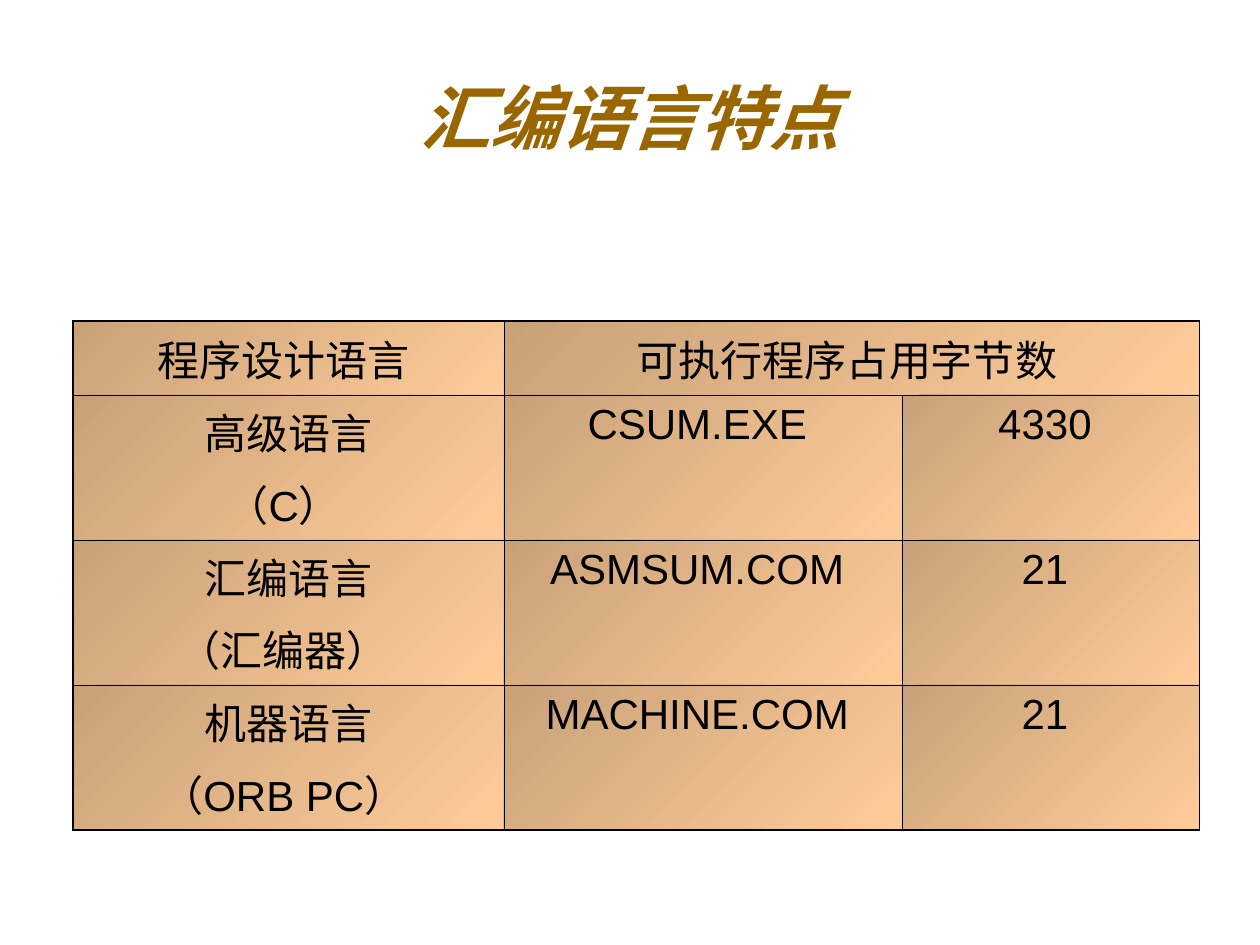
from dataclasses import dataclass

from lxml.etree import SubElement
from pptx import Presentation
from pptx.dml.color import RGBColor
from pptx.enum.text import MSO_ANCHOR, PP_ALIGN
from pptx.oxml.ns import qn
from pptx.slide import Slide
from pptx.table import Table, _Cell
from pptx.text.text import TextFrame
from pptx.util import Inches, Pt


@dataclass(frozen=True)
class Theme:
    font: str = "Arial"
    title_size: int = 40
    cell_size: int = 24
    title_color: str = "996600"
    ink: str = "000000"
    fill_start: str = "C9A179"
    fill_end: str = "FFCC99"
    outer_line: float = 1.08
    inner_line: float = 0.45
    para_gap: int = 6


@dataclass(frozen=True)
class Entry:
    row: int
    column: int
    text: str


THEME = Theme()
PAGE_WIDTH, PAGE_HEIGHT = Inches(10), Inches(7.5)

# Table grid, as shares of the slide
TABLE_LEFT, TABLE_TOP = 0.058, 0.34
COLUMN_SHARES = (0.342, 0.316, 0.236)
ROW_SHARES = (0.077,) + (0.1535,) * 3

HEADINGS = ("程序设计语言 ", "可执行程序占用字节数 ")
PROGRAMS = (
    ("高级语言\n（C） ", "CSUM.EXE ", "4330 "),
    ("汇编语言\n（汇编器） ", "ASMSUM.COM ", "21 "),
    ("机器语言\n（ORB PC） ", "MACHINE.COM ", "21 "),
)


def format_text(frame: TextFrame, size: int, color: str, strong: bool = False) -> None:
    for index, para in enumerate(frame.paragraphs):
        para.alignment = PP_ALIGN.CENTER
        if index:
            para.space_before = Pt(THEME.para_gap)
        for span in para.runs:
            span.font.name = THEME.font
            span.font.size = Pt(size)
            span.font.bold = span.font.italic = strong
            span.font.color.rgb = RGBColor.from_string(color)


def draw_borders(cell: _Cell, row: int, column: int) -> None:
    """Use the heavier line on the outside edges of the table."""
    outside = {
        "a:lnL": column == 0,
        "a:lnR": column == len(COLUMN_SHARES) - 1,
        "a:lnT": row == 0,
        "a:lnB": row == len(ROW_SHARES) - 1,
    }
    properties = cell._tc.get_or_add_tcPr()
    for tag, is_outer in outside.items():
        width = THEME.outer_line if is_outer else THEME.inner_line
        line = SubElement(properties, qn(tag), w=str(int(Pt(width))))
        paint = SubElement(line, qn("a:solidFill"))
        SubElement(paint, qn("a:srgbClr"), val=THEME.ink)


def fill_cell(cell: _Cell) -> None:
    cell.fill.gradient()
    cell.fill.gradient_angle = 315
    for stop, color in zip(cell.fill.gradient_stops, (THEME.fill_start, THEME.fill_end)):
        stop.color.rgb = RGBColor.from_string(color)


def write_entry(table: Table, entry: Entry) -> None:
    frame = table.cell(entry.row, entry.column).text_frame
    frame.text = entry.text
    format_text(frame, THEME.cell_size, THEME.ink)


def add_size_table(page: Slide) -> None:
    frame = page.shapes.add_table(
        len(ROW_SHARES), len(COLUMN_SHARES),
        int(PAGE_WIDTH * TABLE_LEFT), int(PAGE_HEIGHT * TABLE_TOP),
        int(PAGE_WIDTH * sum(COLUMN_SHARES)), int(PAGE_HEIGHT * sum(ROW_SHARES)),
    )
    table = frame.table
    table.first_row = table.horz_banding = False
    for column, share in zip(table.columns, COLUMN_SHARES):
        column.width = int(PAGE_WIDTH * share)
    for row, share in zip(table.rows, ROW_SHARES):
        row.height = int(PAGE_HEIGHT * share)

    # Borders and gradient for every cell
    for row in range(len(ROW_SHARES)):
        for column in range(len(COLUMN_SHARES)):
            cell = table.cell(row, column)
            draw_borders(cell, row, column)
            fill_cell(cell)

    # The second heading spans the file name and its size
    table.cell(0, 1).merge(table.cell(0, 2))
    for row, texts in enumerate((HEADINGS, *PROGRAMS)):
        for column, text in enumerate(texts):
            write_entry(table, Entry(row, column, text))


def add_title(page: Slide) -> None:
    title = page.shapes.title
    title.left, title.top = int(PAGE_WIDTH * 0.05), int(PAGE_HEIGHT * 0.04)
    title.width, title.height = int(PAGE_WIDTH * 0.9), Inches(1.25)
    title.text_frame.text = "汇编语言特点"
    title.text_frame.vertical_anchor = MSO_ANCHOR.MIDDLE
    format_text(title.text_frame, THEME.title_size, THEME.title_color, strong=True)


def main() -> None:
    deck = Presentation()
    deck.slide_width, deck.slide_height = PAGE_WIDTH, PAGE_HEIGHT
    page = deck.slides.add_slide(deck.slide_layouts[5])
    add_title(page)
    add_size_table(page)
    deck.save("out.pptx")


if __name__ == "__main__":
    main()
